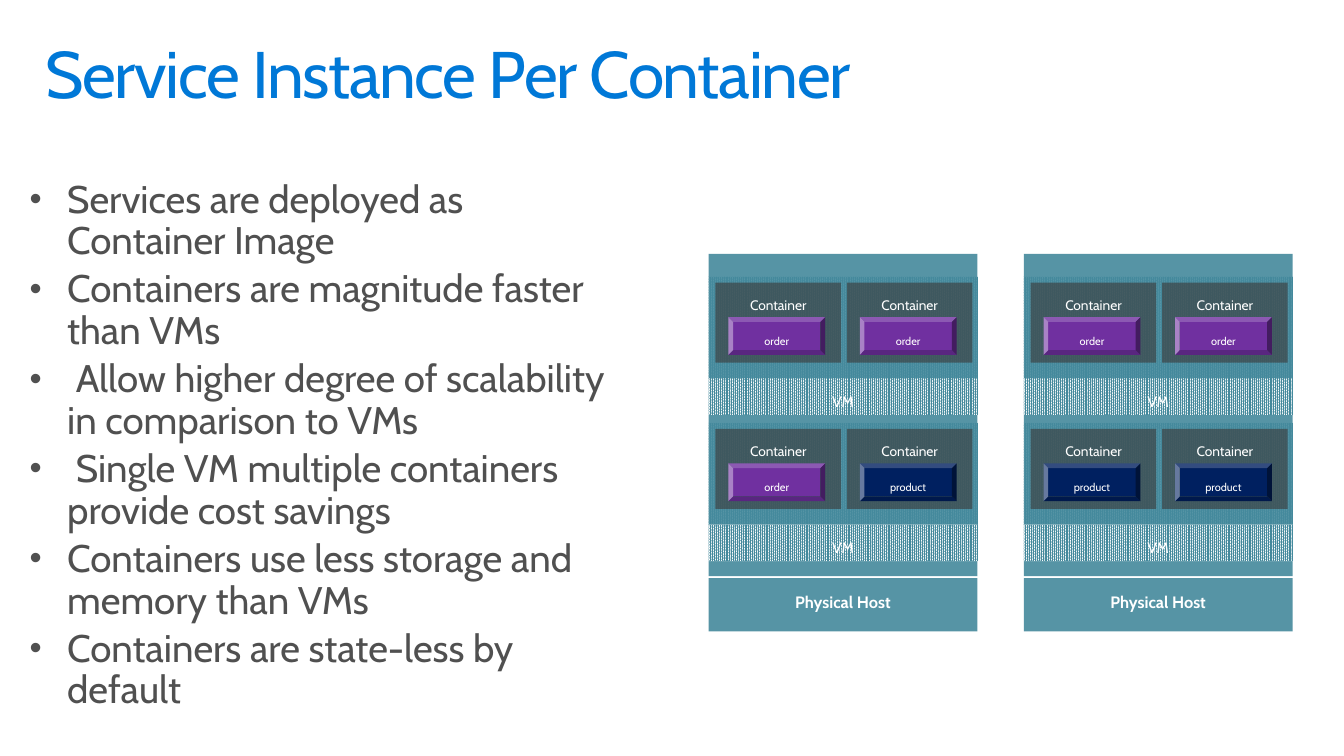
from dataclasses import dataclass

from lxml import etree
from pptx import Presentation
from pptx import util as u
from pptx.dml.color import RGBColor
from pptx.enum import dml, shapes, text
from pptx.oxml.ns import qn


@dataclass(frozen=True)
class Theme:
    font: str = "Cabin"
    title_color: str = "0078D7"
    body_color: str = "505050"
    label_color: str = "FFFFFF"
    teal: str = "44899C"
    container: str = "3C3C3C"
    order: str = "7030A0"
    product: str = "002060"
    title_size: float = 48
    body_size: float = 28
    host_size: float = 12
    machine_size: float = 11
    container_size: float = 10
    service_size: float = 8


def write(para, words, *, font, size, color, bold=False, spacing=None,
          align=text.PP_ALIGN.LEFT):
    """Add formatted words to a paragraph."""
    para.alignment = align
    para.line_spacing = 0.9
    span = para.add_run()
    span.text = words
    span.font.name = font
    span.font.size = u.Pt(size)
    span.font.bold = bold
    span.font.color.rgb = RGBColor.from_string(color)
    if spacing is not None:
        span.font._element.set("spc", str(spacing))


def add_bullet(para):
    properties = para._p.get_or_add_pPr()
    properties.set("marL", str(u.Inches(0.38)))
    properties.set("indent", str(-u.Inches(0.38)))
    for tag, name, value in (("a:buSzPct", "val", "90000"),
                             ("a:buFont", "typeface", "Arial"),
                             ("a:buChar", "char", "•")):
        etree.SubElement(properties, qn(tag)).set(name, value)


class Page:
    def __init__(self, slide, theme):
        self.slide = slide
        self.theme = theme
        self.group = None

    def prepare(self, box, side, upright):
        """Set wrapping, anchor and insets of a text frame."""
        frame = box.text_frame
        frame.word_wrap = True
        frame.vertical_anchor = text.MSO_ANCHOR.TOP
        frame.margin_left = frame.margin_right = u.Inches(side)
        frame.margin_top = frame.margin_bottom = u.Inches(upright)
        return frame

    def place(self, box, left, top, width, height):
        box.left, box.top = u.Inches(left), u.Inches(top)
        box.width, box.height = u.Inches(width), u.Inches(height)
        return self.prepare(box, 0.16, 0.1)

    def title(self, words, *area):
        frame = self.place(self.slide.shapes.title, *area)
        frame.auto_size = text.MSO_AUTO_SIZE.NONE
        write(frame.paragraphs[0], words, font=self.theme.font, spacing=-100,
              size=self.theme.title_size, color=self.theme.title_color)

    def bullets(self, items, *area):
        frame = self.place(self.slide.placeholders[1], *area)
        frame.auto_size = text.MSO_AUTO_SIZE.SHAPE_TO_FIT_TEXT
        for number, item in enumerate(items):
            para = frame.add_paragraph() if number else frame.paragraphs[0]
            add_bullet(para)
            para.space_before = u.Pt(5 if number else 0)
            write(para, item, font=self.theme.font,
                  size=self.theme.body_size, color=self.theme.body_color)

    def block(self, left, top, width, height, color, *, label="", size=10,
              bold=False, opacity=100, patterned=False,
              kind=shapes.MSO_SHAPE.RECTANGLE):
        box = self.group.shapes.add_shape(
            kind, u.Inches(left), u.Inches(top),
            u.Inches(width), u.Inches(height))
        box.shadow.inherit = False
        box.line.fill.background()
        if patterned:
            box.fill.patterned()
            box.fill.pattern = dml.MSO_PATTERN.PERCENT_90
            box.fill.back_color.rgb = RGBColor.from_string("FFFFFF")
        else:
            box.fill.solid()
        box.fill.fore_color.rgb = RGBColor.from_string(color)
        if opacity < 100:
            shade = box._element.spPr.find(qn("a:solidFill"))[0]
            etree.SubElement(shade, qn("a:alpha")).set("val", str(opacity * 1000))
        if label:
            frame = self.prepare(box, 0.2, 0.16)
            write(frame.paragraphs[0], label, font=self.theme.font, size=size,
                  color=self.theme.label_color, bold=bold,
                  align=text.PP_ALIGN.CENTER)

    def container(self, left, top, service):
        theme = self.theme
        self.block(left, top, 1.27, 0.81, theme.container, opacity=63,
                   label="Container", size=theme.container_size)
        self.block(left + 0.13, top + 0.35, 0.98, 0.38,
                   getattr(theme, service), label=service,
                   size=theme.service_size, kind=shapes.MSO_SHAPE.BEVEL)

    def host(self, left, machines):
        theme, width = self.theme, 2.72
        self.group = self.slide.shapes.add_group_shape()
        tops = [2.8 + 1.48 * row for row in range(len(machines))]
        # Machine backgrounds lie under the translucent host panel
        for top in tops:
            self.block(left, top, width, 1.04, theme.teal, patterned=True)
        self.block(left, 2.57, width, 3.26, theme.teal, opacity=90)
        self.block(left, 5.85, width, 0.54, theme.teal, opacity=90,
                   label="Physical Host", size=theme.host_size, bold=True)
        # Machine labels and their containers
        for top, services in zip(tops, machines):
            self.block(left, top + 1.03, width, 0.37, theme.teal,
                       patterned=True, label="VM", size=theme.machine_size)
            for column, service in enumerate(services):
                self.container(left + 0.07 + 1.33 * column, top + 0.06, service)


def main():
    deck = Presentation()
    deck.slide_width, deck.slide_height = u.Inches(13.6), u.Inches(7.65)
    page = Page(deck.slides.add_slide(deck.slide_layouts[1]), Theme())

    # Title and list
    page.title("Service Instance Per Container", 0.3, 0.32, 13, 1)
    page.bullets([
        "Services are deployed as Container Image",
        "Containers are magnitude faster than VMs",
        " Allow higher degree of scalability in comparison to VMs",
        " Single VM multiple containers provide cost savings",
        "Containers use less storage and memory than VMs",
        "Containers are state-less by default",
    ], 0.14, 1.72, 6.2, 5.86)

    # Two physical hosts, each with two machines of two containers
    hosts = [
        [("order", "order"), ("order", "product")],
        [("order", "order"), ("product", "product")],
    ]
    for number, machines in enumerate(hosts):
        page.host(7.17 + 3.19 * number, machines)

    deck.save("out.pptx")


if __name__ == "__main__":
    main()
